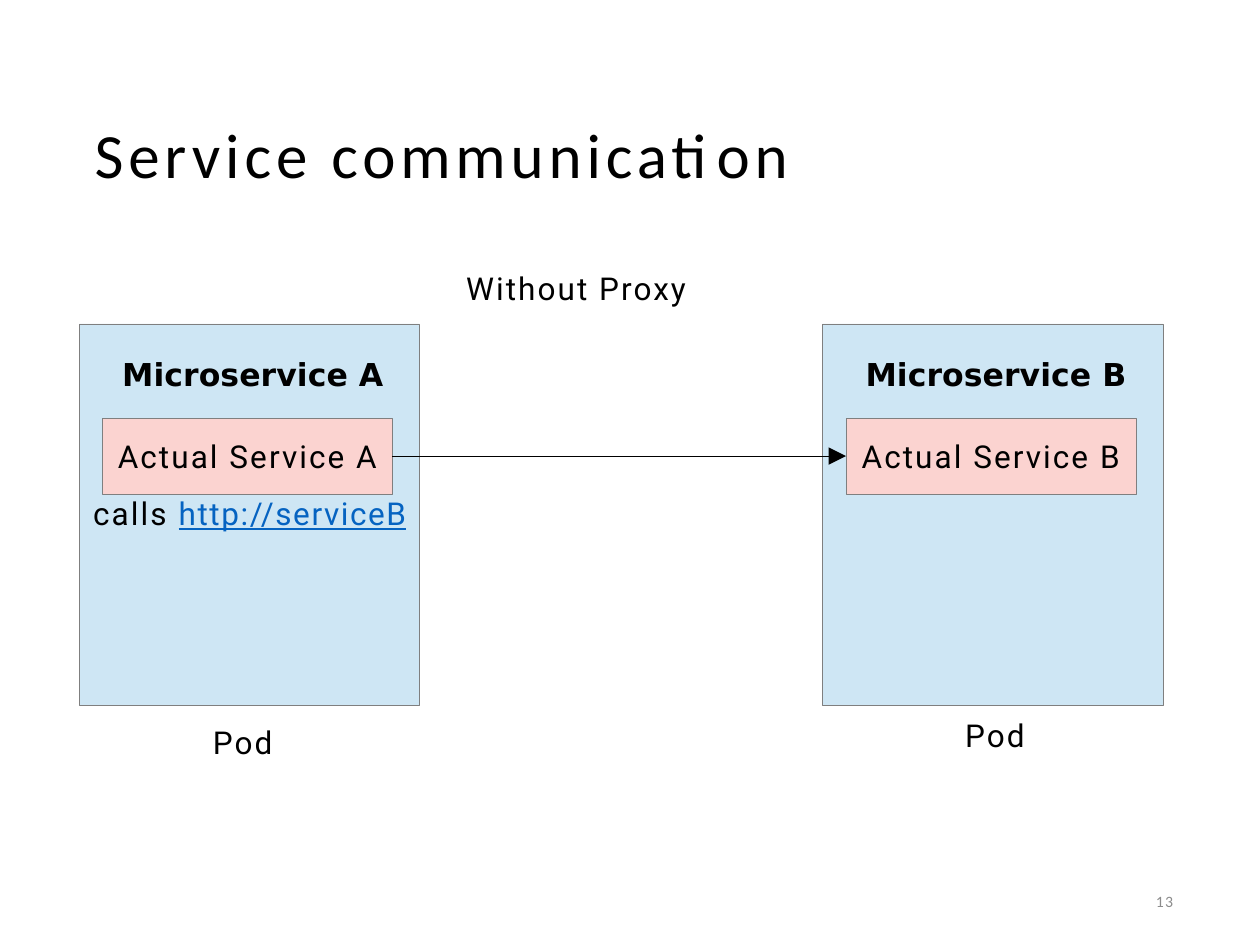
from lxml.etree import SubElement
from pptx import Presentation
from pptx.dml.color import RGBColor
from pptx.enum.shapes import MSO_CONNECTOR, MSO_SHAPE
from pptx.enum.text import MSO_ANCHOR, MSO_AUTO_SIZE, PP_ALIGN
from pptx.oxml.ns import qn
from pptx.util import Inches, Pt

BLACK = RGBColor(0x00, 0x00, 0x00)
GREY = RGBColor(0x8C, 0x8C, 0x8C)
EDGE = RGBColor(0x7F, 0x7F, 0x7F)
POD_BLUE = RGBColor(0xCE, 0xE6, 0xF4)
SERVICE_PINK = RGBColor(0xFB, 0xD3, 0xD0)
LINK_BLUE = RGBColor(0x05, 0x63, 0xC1)

# Text formats: font attributes, with colour and letter spacing in points
BODY = {"name": "Roboto", "size": Pt(18), "color": BLACK, "spacing": 1.2}
LINK = {**BODY, "color": LINK_BLUE, "underline": True, "spacing": 0.9}
HEADING = {**BODY, "name": "DejaVu Sans", "bold": True, "spacing": 0.05}
TITLE = {"name": "Calibri", "size": Pt(36), "color": BLACK, "spacing": 2.8}
NUMBER = {"name": "Calibri", "size": Pt(9), "color": GREY, "spacing": 0.7}


class SlideBuilder:
    """Places elements on a grid of 100 columns by 75 rows."""

    COLUMNS, ROWS = 100, 75
    HAIRLINE = Pt(0.25)

    def __init__(self, deck):
        self.deck = deck
        self.page = deck.slides.add_slide(deck.slide_layouts[5])

    def area(self, column, row, columns, rows):
        across = self.deck.slide_width / self.COLUMNS
        down = self.deck.slide_height / self.ROWS
        return (round(column * across), round(row * down),
                round(columns * across), round(rows * down))

    def fill_text(self, box, spans, align=PP_ALIGN.LEFT, wrap=False):
        frame = box.text_frame
        settings = {"auto_size": MSO_AUTO_SIZE.NONE, "word_wrap": wrap,
                    "vertical_anchor": MSO_ANCHOR.MIDDLE, "margin_left": 0,
                    "margin_right": 0, "margin_top": 0, "margin_bottom": 0}
        for name, value in settings.items():
            setattr(frame, name, value)
        para = frame.paragraphs[0]
        para.alignment = align
        for text, style in spans:
            span = para.add_run()
            span.text = text
            for name, value in style.items():
                if name == "color":
                    span.font.color.rgb = value
                elif name == "spacing":
                    span._r.get_or_add_rPr().set("spc", str(round(value * 100)))
                else:
                    setattr(span.font, name, value)

    def title(self, area, text):
        box = self.page.shapes.title
        box.left, box.top, box.width, box.height = self.area(*area)
        self.fill_text(box, [(text, TITLE)])

    def label(self, area, *spans, align=PP_ALIGN.LEFT):
        box = self.page.shapes.add_textbox(*self.area(*area))
        self.fill_text(box, spans, align, wrap=align == PP_ALIGN.RIGHT)

    def rectangle(self, area, fill, text=None):
        box = self.page.shapes.add_shape(MSO_SHAPE.RECTANGLE, *self.area(*area))
        box.shadow.inherit = False
        box.fill.solid()
        box.fill.fore_color.rgb = fill
        box.line.color.rgb = EDGE
        box.line.width = self.HAIRLINE
        if text:
            self.fill_text(box, [(text, BODY)], PP_ALIGN.CENTER)
        return box

    def arrow(self, source, target):
        """Runs from the right side of source to the left side of target."""
        link = self.page.shapes.add_connector(MSO_CONNECTOR.STRAIGHT, 0, 0, 0, 0)
        link.begin_connect(source, 3)
        link.end_connect(target, 1)
        link.line.color.rgb = BLACK
        link.line.width = self.HAIRLINE
        SubElement(link.line._get_or_add_ln(), qn("a:tailEnd"),
                   type="triangle", w="lg", len="lg")
        SubElement(link._element.spPr, qn("a:effectLst"))


def main():
    deck = Presentation()
    deck.slide_width, deck.slide_height = Inches(10), Inches(7.5)
    slide = SlideBuilder(deck)

    # Title and caption
    slide.title((7.5, 8.7, 59, 6.9), "Service communication")
    slide.label((37, 21.2, 18, 3.3), ("Without Proxy", BODY))

    # Pods, each holding one microservice
    services = []
    for name, left, caption_left, caption_top in (("A", 6.3, 16.9, 57.2),
                                                  ("B", 65.3, 76.6, 56.7)):
        slide.rectangle((left, 25.7, 27, 30.3), POD_BLUE)
        slide.label((left + 3.4, 28, 21, 3.3), (f"Microservice {name}", HEADING))
        services.append(slide.rectangle((left + 1.85, 33.2, 23, 6),
                                        SERVICE_PINK, f"Actual Service {name}"))
        slide.label((caption_left, caption_top, 4.8, 3.3), ("Pod", BODY))

    # Call from service A to service B
    slide.label((7.4, 39.1, 25, 3.3), ("calls ", BODY), ("http://serviceB", LINK))
    slide.arrow(*services)

    # Slide number
    slide.label((70.6, 69.5, 22.5, 4), ("13", NUMBER), align=PP_ALIGN.RIGHT)

    deck.save("out.pptx")


if __name__ == "__main__":
    main()
